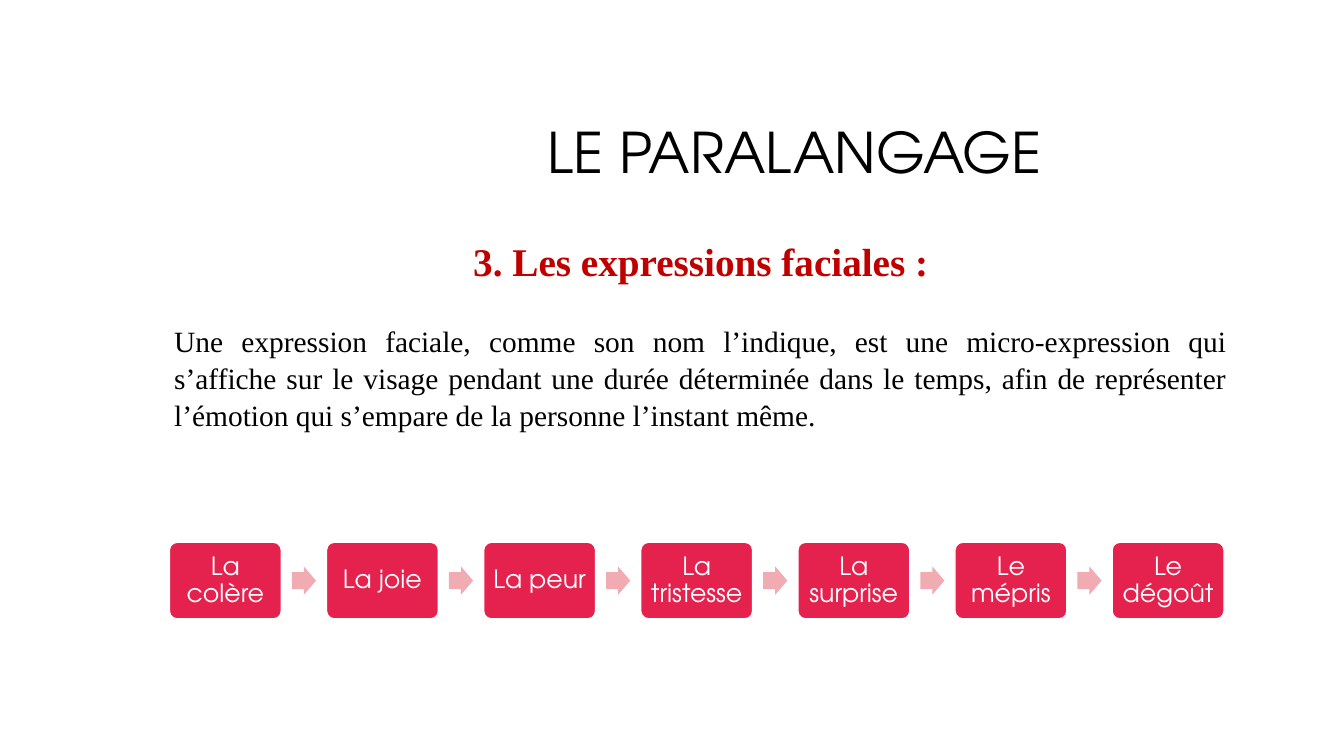
from dataclasses import dataclass

from pptx import Presentation
from pptx.dml.color import RGBColor
from pptx.enum.shapes import MSO_SHAPE as Shape
from pptx.enum.text import MSO_ANCHOR as Anchor, PP_ALIGN as Align
from pptx.util import Inches, Pt

EMOTIONS = ["La colère", "La joie", "La peur", "La tristesse",
            "La surprise", "Le mépris", "Le dégoût"]
DEFINITION = (
    "Une expression faciale, comme son nom l’indique, est une micro-expression "
    "qui s’affiche sur le visage pendant une durée déterminée dans le temps, "
    "afin de représenter l’émotion qui s’empare de la personne l’instant même."
)


@dataclass(frozen=True)
class Theme:
    display: str = "TeX Gyre Adventor"
    serif: str = "Times New Roman"
    black: str = "000000"
    white: str = "FFFFFF"
    heading: str = "C00000"
    card: str = "E5224E"
    arrow: str = "F0ACB2"
    title_size: float = 40
    heading_size: float = 28
    body_size: float = 21
    card_size: float = 18


THEME = Theme()


def rgb(code):
    return RGBColor.from_string(code)


def write(para, text, face, size, color, align, bold=False, spacing=None):
    para.text = text
    para.alignment = align
    para.line_spacing = spacing
    font = para.font
    font.name, font.size, font.bold = face, Pt(size), bold
    font.color.rgb = rgb(color)


def add_text_frame(page, box):
    frame = page.shapes.add_textbox(*map(Inches, box)).text_frame
    frame.word_wrap = True
    return frame


def add_filled(group, kind, box, fill, adjustments):
    shape = group.shapes.add_shape(kind, *map(Inches, box))
    shape.shadow.inherit = False
    shape.fill.solid()
    shape.fill.fore_color.rgb = rgb(fill)
    shape.line.fill.background()
    for index, value in enumerate(adjustments):
        shape.adjustments[index] = value
    return shape


def add_title(page, box):
    frame = add_text_frame(page, box)
    frame.vertical_anchor = Anchor.MIDDLE
    write(frame.paragraphs[0], "LE PARALANGAGE", THEME.display,
          THEME.title_size, THEME.black, Align.CENTER, spacing=0.9)


def add_definition(page, box):
    frame = add_text_frame(page, box)
    write(frame.paragraphs[0], "3. Les expressions faciales :", THEME.serif,
          THEME.heading_size, THEME.heading, Align.CENTER, bold=True)
    body = frame.add_paragraph()
    write(body, DEFINITION, THEME.serif, THEME.body_size, THEME.black,
          Align.JUSTIFY, spacing=1.05)
    body.space_before = Pt(26)


def add_card(group, box, label):
    card = add_filled(group, Shape.ROUNDED_RECTANGLE, box, THEME.card, [0.1])
    card.line.color.rgb = rgb(THEME.white)
    card.line.width = Pt(1)
    frame = card.text_frame
    frame.word_wrap = True
    frame.vertical_anchor = Anchor.MIDDLE
    frame.margin_left = frame.margin_right = Inches(0.07)
    frame.margin_top = frame.margin_bottom = Inches(0.07)
    write(frame.paragraphs[0], label, THEME.display, THEME.card_size,
          THEME.white, Align.CENTER, spacing=0.9)


def add_emotion_chain(page, box):
    """Spread the cards evenly over the box, with an arrow in each gap."""
    left, top, width, height = box
    card_width = 1.11
    arrow_width, arrow_height = 0.24, 0.28
    pitch = (width - card_width) / (len(EMOTIONS) - 1)
    arrow_offset = (card_width + pitch - arrow_width) / 2
    arrow_top = top + (height - arrow_height) / 2
    group = page.shapes.add_group_shape()
    for index, emotion in enumerate(EMOTIONS):
        x = left + index * pitch
        if index:
            add_filled(group, Shape.RIGHT_ARROW,
                       (x - pitch + arrow_offset, arrow_top, arrow_width, arrow_height),
                       THEME.arrow, [0.6, 0.5])
        add_card(group, (x, top, card_width, height), emotion)


def main():
    deck = Presentation()
    deck.slide_width, deck.slide_height = Inches(13.33), Inches(7.5)
    page = deck.slides.add_slide(deck.slide_layouts[6])
    add_title(page, (3.17, 0.84, 9.42, 1.41))
    add_definition(page, (1.63, 2.31, 10.64, 2.4))
    add_emotion_chain(page, (1.68, 5.38, 10.46, 0.76))
    deck.save("out.pptx")


if __name__ == "__main__":
    main()
